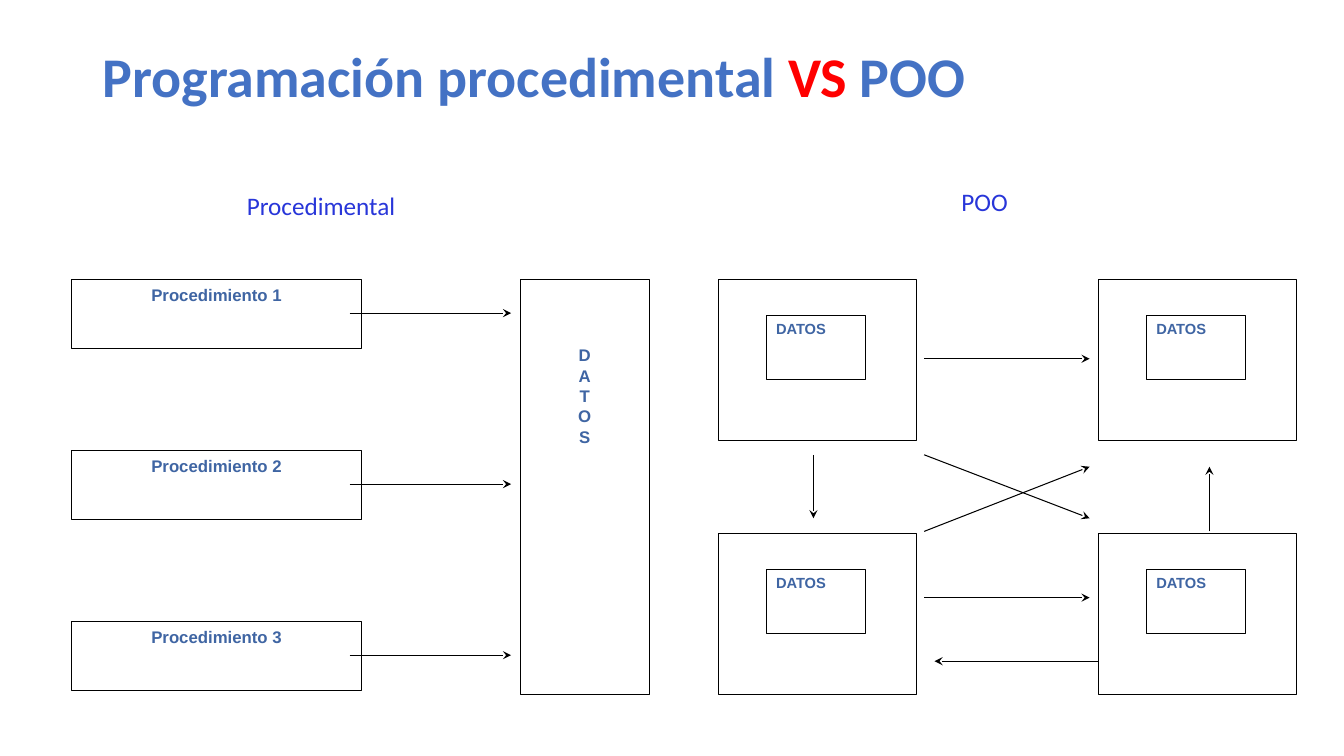
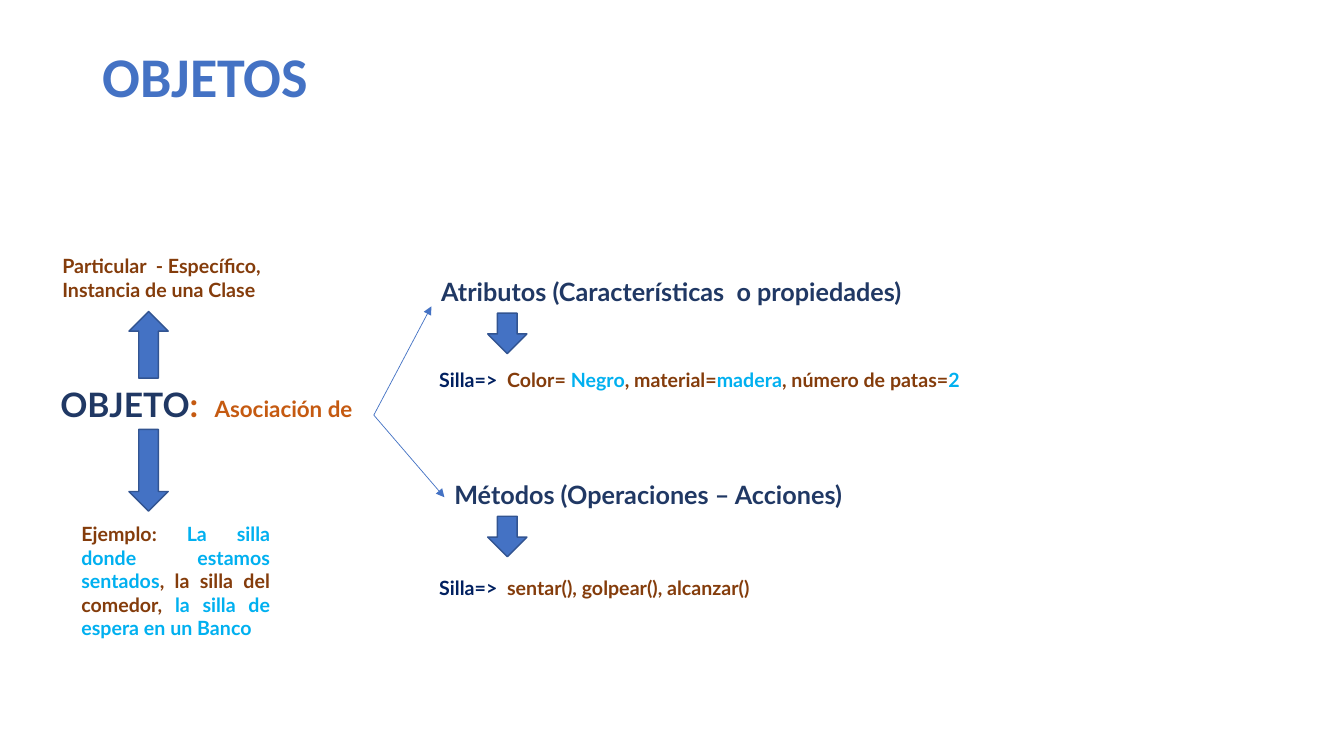
from collections import namedtuple

from lxml import etree
from pptx import Presentation
from pptx.dml.color import RGBColor
from pptx.enum.shapes import MSO_CONNECTOR, MSO_SHAPE
from pptx.enum.text import MSO_ANCHOR, PP_ALIGN
from pptx.oxml.ns import qn
from pptx.util import Cm, Pt

RECTANGLE = MSO_SHAPE.RECTANGLE
DOWN_ARROW, UP_ARROW = MSO_SHAPE.DOWN_ARROW, MSO_SHAPE.UP_ARROW
STRAIGHT = MSO_CONNECTOR.STRAIGHT
TOP = MSO_ANCHOR.TOP
LEFT, CENTER, JUSTIFY = PP_ALIGN.LEFT, PP_ALIGN.CENTER, PP_ALIGN.JUSTIFY

BLACK = RGBColor(0x00, 0x00, 0x00)
WHITE = RGBColor(0xFF, 0xFF, 0xFF)
RED = RGBColor(0xFF, 0x00, 0x00)
BLUE = RGBColor(0x44, 0x72, 0xC4)
BLUE_EDGE = RGBColor(0x32, 0x54, 0x91)
LABEL_BLUE = RGBColor(0x3F, 0x65, 0xA3)
HEADING_BLUE = RGBColor(0x28, 0x36, 0xD9)
NAVY = RGBColor(0x20, 0x38, 0x64)
DEEP_NAVY = RGBColor(0x00, 0x20, 0x60)
ORANGE = RGBColor(0xC5, 0x5A, 0x11)
BROWN = RGBColor(0x84, 0x3C, 0x0B)
SKY = RGBColor(0x00, 0xB0, 0xF0)

SLIDE_WIDTH, SLIDE_HEIGHT = 33.87, 19.05
BLOCK_ARROW_WIDTH = 0.99

Box = namedtuple("Box", "left top width height")
Span = namedtuple("Span", "text color size font bold")

TITLE_BOX = Box(2.34, 1.12, 23.55, 2.31)


def lato(text, color, size=14):
    return Span(text, color, size, "Lato", True)


def title_span(text, color=BLUE):
    return Span(text, color, 40, "Calibri", True)


def label(text, size=12):
    return Span(text, LABEL_BLUE, size, "Arial", True)


def in_cm(box):
    return [Cm(length) for length in box]


def write(frame, paragraphs, align=LEFT, line_spacing=None):
    """Fill a text frame with paragraphs, each a list of spans."""
    frame.word_wrap = True
    frame.vertical_anchor = TOP
    for index, spans in enumerate(paragraphs):
        para = frame.add_paragraph() if index else frame.paragraphs[0]
        para.alignment = align
        if line_spacing is not None:
            para.line_spacing = line_spacing
        for span in spans:
            run = para.add_run()
            run.text = span.text
            run.font.name = span.font
            run.font.size = Pt(span.size)
            run.font.bold = span.bold
            run.font.color.rgb = span.color


def add_text(page, box, spans, align=JUSTIFY, line_spacing=None):
    frame = page.shapes.add_textbox(*in_cm(box)).text_frame
    write(frame, [spans], align, line_spacing)


def add_filled(page, kind, box, fill, edge, edge_width):
    shape = page.shapes.add_shape(kind, *in_cm(box))
    shape.shadow.inherit = False
    shape.fill.solid()
    shape.fill.fore_color.rgb = fill
    shape.line.color.rgb = edge
    shape.line.width = Pt(edge_width)
    return shape


def add_frame(page, box):
    return add_filled(page, RECTANGLE, box, WHITE, BLACK, 0.75)


def add_block_arrow(page, kind, left, top, height):
    box = Box(left, top, BLOCK_ARROW_WIDTH, height)
    add_filled(page, kind, box, BLUE, BLUE_EDGE, 1)


def add_arrow(page, start, end, color=BLACK, width=0.75, head="stealth"):
    ends = [Cm(length) for length in (*start, *end)]
    line = page.shapes.add_connector(STRAIGHT, *ends)
    line.line.color.rgb = color
    line.line.width = Pt(width)
    properties = line.line._get_or_add_ln()
    etree.SubElement(properties, qn("a:tailEnd"), type=head)
    etree.SubElement(line._element.spPr, qn("a:effectLst"))


def add_title(page, spans):
    add_text(page, TITLE_BOX, spans, LEFT, 0.9)


def add_heading(page, box, text):
    span = Span(text, HEADING_BLUE, 18, "Calibri", False)
    add_text(page, box, [span], LEFT)


def add_procedural(page, box):
    """Three procedures that all reach one shared block of data."""
    add_heading(page, Box(box.left + 4.17, box.top - 2.37, 11.3, 1.52),
                "Procedimental")
    data_width, step = 3.25, 4.31
    data_left = box.left + box.width - data_width
    data = add_frame(page, Box(data_left, box.top, data_width, box.height))
    data.text_frame.margin_top = Cm(1.65)
    write(data.text_frame, [[label(letter)] for letter in "DATOS"],
          CENTER, Pt(14.5))
    for index in range(3):
        top = box.top + index * step
        procedure = add_frame(page, Box(box.left, top, 7.32, 1.75))
        write(procedure.text_frame, [[label(f"Procedimiento {index + 1}")]],
              CENTER)
        arrow_y = top + 0.85
        add_arrow(page, (box.left + 7.01, arrow_y),
                  (data_left - 0.23, arrow_y))


def add_object_oriented(page, box):
    """Four objects with their own data that exchange messages."""
    add_heading(page, Box(box.left + 5.87, box.top - 2.47, 6.17, 1.52), "POO")
    width, height = 4.98, 4.06
    for top in (box.top, box.top + box.height - height):
        for left in (box.left, box.left + box.width - width):
            add_frame(page, Box(left, top, width, height))
            data = add_frame(page, Box(left + 1.2, top + 0.9, 2.5, 1.63))
            write(data.text_frame, [[label("DATOS", 10.5)]])

    west, east = 5.18, 9.35
    upper, lower = 4.42, 6.02
    messages = [
        ((west, 2.0), (east, 2.0)),
        ((west, 8.02), (east, 8.02)),
        ((west, 6.35), (east, 4.72)),
        ((west, upper), (east, lower)),
        ((box.width - width, 9.62), (5.44, 9.62)),
        ((2.39, upper), (2.39, lower)),
        ((12.37, 6.35), (12.37, 4.72)),
    ]
    for message in messages:
        start, end = [(box.left + x, box.top + y) for x, y in message]
        add_arrow(page, start, end)


def add_object_summary(page, box):
    """The term in the middle, its meaning above and an example below."""
    left, top = box.left, box.top
    for offset, text in ((0, "Particular  - Específico,"),
                         (0.61, "Instancia de una Clase")):
        add_text(page, Box(left + 0.05, top + offset, 6.27, 0.86),
                 [lato(text, BROWN)])
    add_block_arrow(page, UP_ARROW, left + 1.98, top + 1.58, 1.68)
    add_text(page, Box(left, top + 3.28, box.width, 1.27), [
        lato("OBJETO", NAVY, 24),
        lato(":  ", ORANGE, 24),
        lato("Asociación de", ORANGE, 16),
    ])
    add_block_arrow(page, DOWN_ARROW, left + 1.98, top + 4.55, 2.06)
    add_text(page, Box(left + 0.53, top + 6.76, 5.26, 3.84), [
        lato("Ejemplo: ", BROWN),
        lato("La silla donde estamos sentados", SKY),
        lato(", la silla del comedor, ", BROWN),
        lato("la silla de espera en un Banco", SKY),
    ])


def add_branch(page, box, heading, indent, link_drop, example):
    """A linked heading with an arrow down to its example."""
    heading_left = box.left + indent
    add_text(page, Box(heading_left, box.top, box.width, 1.02),
             [lato(heading, NAVY, 18)])
    add_arrow(page, (9.42, 10.46), (heading_left, box.top + link_drop),
              BLUE, 0.5, "triangle")
    add_block_arrow(page, DOWN_ARROW, box.left + 1.47, box.top + 1.06, 1.02)
    add_text(page, Box(box.left, box.top + box.height - 0.86, 16.43, 0.86),
             [lato("Silla=>  ", DEEP_NAVY), *example])


def build_comparison(page):
    add_title(page, [title_span("Programación procedimental "),
                     title_span("VS", RED), title_span(" POO")])
    add_procedural(page, Box(1.8, 7.04, 14.56, 10.46))
    add_object_oriented(page, Box(18.11, 7.04, 14.56, 10.46))


def build_objects(page):
    add_title(page, [title_span("OBJETOS")])
    add_object_summary(page, Box(1.27, 6.27, 8.81, 10.6))
    add_branch(page, Box(10.82, 6.83, 22.43, 3.17),
               "Atributos (Características  o propiedades)", 0.05, 0.89, [
                   lato("Color= ", BROWN),
                   lato("Negro", SKY),
                   lato(", material=", BROWN),
                   lato("madera", SKY),
                   lato(", número de patas=", BROWN),
                   lato("2", SKY),
               ])
    add_branch(page, Box(10.82, 11.95, 22.43, 3.31),
               "Métodos (Operaciones – Acciones)", 0.38, 0.58,
               [lato("sentar(), golpear(), alcanzar()", BROWN)])


def main():
    deck = Presentation()
    deck.slide_width, deck.slide_height = Cm(SLIDE_WIDTH), Cm(SLIDE_HEIGHT)
    blank = deck.slide_layouts[6]
    for build in (build_comparison, build_objects):
        build(deck.slides.add_slide(blank))
    deck.save("out.pptx")


if __name__ == "__main__":
    main()
